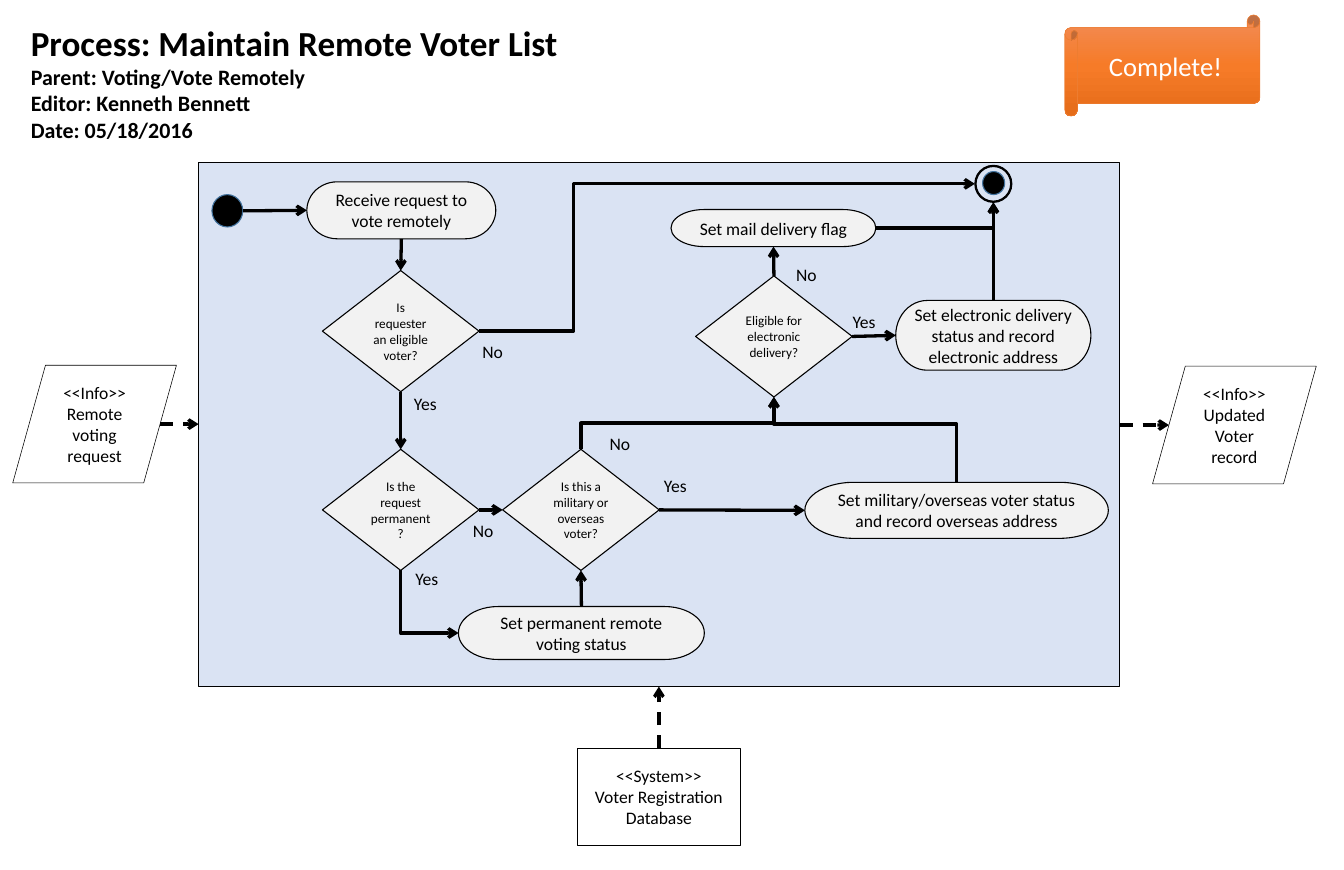
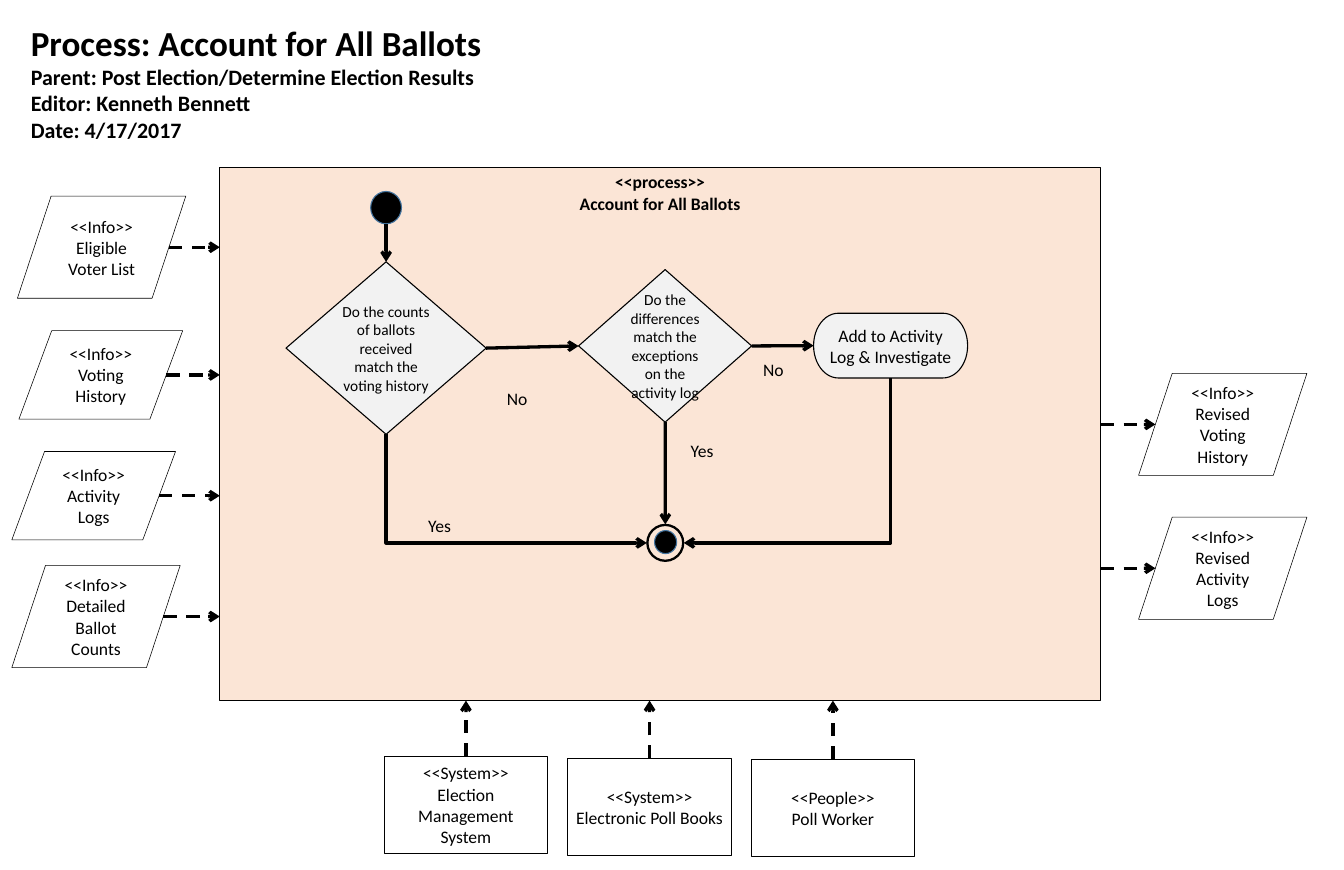
from dataclasses import dataclass

from lxml.etree import SubElement
from pptx import Presentation
from pptx.dml.color import RGBColor
from pptx.enum.dml import MSO_LINE
from pptx.enum.shapes import MSO_CONNECTOR, MSO_SHAPE
from pptx.enum.text import MSO_ANCHOR, MSO_AUTO_SIZE, PP_ALIGN
from pptx.oxml.ns import qn
from pptx.util import Cm, Pt


@dataclass(frozen=True)
class Theme:
    font: str = "Calibri"
    ink: str = "000000"
    paper: str = "FFFFFF"
    node: str = "F2F2F2"
    dot_edge: str = "43739E"
    badge_edge: str = "ED7D31"
    badge_stops: tuple = ((0, "F18C57"), (50000, "F67B28"), (100000, "E56C19"))
    title: float = 32
    subtitle: float = 20
    body: float = 16
    badge: float = 24.2
    thin: float = 0.5
    edge: float = 1
    arrow: float = 3


THEME = Theme()
TITLE_BOX = (0.74, 0.56, 39.88, 4.19)
BADGE_BOX = (34.21, 0.48, 6.27, 3.25)
DOT_SIZE = (0.99, 1.04)
RING_SIZE = (1.19, 1.19)
CORE_OFFSET = (0.25, 0.2)
CORE_SIZE = (0.71, 0.74)
LABEL_SIZE = (1.73, 0.94)
SUPPORT_SIZE = (5.26, 3.12)
SLANT = 0.1
LEVEL = 0.2

PROCESSES = [
    {
        "title": ["Process: Maintain Remote Voter List", "Parent: Voting/Vote Remotely",
                  "Editor: Kenneth Bennett", "Date: 05/18/2016"],
        "badge": "Complete!",
        "frame": (6.38, 5.21, 29.59, 16.84),
        "frame_fill": "DAE3F3",
        "frame_text": [],
        "start": (6.81, 6.25),
        "final": (31.32, 5.31),
        "decision_style": {"size": 12},
        "steps": {
            "receive": ("Receive request to vote remotely", (9.86, 5.84, 6.07, 1.83)),
            "permanent status": ("Set permanent remote voting status", (14.73, 19.48, 7.9, 1.7)),
            "overseas status": ("Set military/overseas voter status and record overseas address",
                                (25.86, 15.49, 9.75, 1.8)),
            "mail flag": ("Set mail delivery flag", (21.56, 6.73, 6.58, 1.19)),
            "electronic status": ("Set electronic delivery status and record electronic address",
                                  (28.78, 9.65, 6.27, 2.24)),
        },
        "decisions": {
            "eligible": ("Is requester an eligible voter?", (10.36, 8.69, 5.03, 3.89)),
            "permanent": ("Is the request permanent?", (10.36, 14.43, 5.03, 3.89)),
            "military": ("Is this a military or overseas voter?", (16.15, 14.43, 5.03, 3.89)),
            "electronic": ("Eligible for electronic delivery?", (22.35, 8.86, 5.03, 3.89)),
        },
        "arrows": [
            ("start", "right", "receive", "left"),
            ("receive", "bottom", "eligible", "top"),
            ("eligible", "bottom", "permanent", "top"),
            ("eligible", "right", "final", "left", 0.191),
            ("permanent", "right", "military", "left"),
            ("permanent", "bottom", "permanent status", "left"),
            ("permanent status", "top", "military", "bottom"),
            ("military", "right", "overseas status", "left"),
            ("military", "top", "electronic", "bottom"),
            ("overseas status", "top", "electronic", "bottom", 0.684),
            ("electronic", "right", "electronic status", "left"),
            ("electronic", "top", "mail flag", "bottom"),
            ("mail flag", "right", "final", "bottom"),
            ("electronic status", "top", "final", "bottom"),
        ],
        "labels": [("Yes", 26.9, 9.86), ("No", 25.04, 8.36), ("Yes", 20.83, 15.14),
                   ("Yes", 12.85, 18.11), ("No", 14.66, 16.56), ("No", 14.96, 10.82),
                   ("No", 19.05, 13.79), ("Yes", 12.8, 12.5)],
        "inputs": [("Remote voting request", (0.41, 11.73, 5.26, 3.78))],
        "outputs": [("Updated Voter record", (37.03, 11.76, 5.26, 3.78))],
        "supports": [("System", "Voter Registration Database", 18.54, 24.03)],
    },
    {
        "title": ["Process: Account for All Ballots",
                  "Parent: Post Election/Determine Election Results",
                  "Editor: Kenneth Bennett", "Date: 4/17/2017"],
        "badge": None,
        "frame": (7.06, 5.38, 28.3, 17.12),
        "frame_fill": "FBE5D6",
        "frame_text": ["<<process>>", "Account for All Ballots"],
        "start": (11.91, 6.15),
        "final": (20.78, 16.84),
        "decision_style": {"size": 14, "inset": 0.13},
        "steps": {
            "investigate": ("Add to Activity Log & Investigate", (26.14, 10.06, 4.95, 2.08)),
        },
        "decisions": {
            "counts": ("Do the counts of ballots received match the voting history",
                       (9.19, 8.41, 6.43, 5.54)),
            "differences": ("Do the differences match the exceptions on the activity log",
                            (18.59, 8.66, 5.56, 4.9)),
        },
        "arrows": [
            ("start", "bottom", "counts", "top"),
            ("counts", "right", "differences", "left"),
            ("counts", "bottom", "final", "left"),
            ("differences", "right", "investigate", "left"),
            ("differences", "bottom", "final", "top"),
            ("investigate", "bottom", "final", "right"),
        ],
        "labels": [("No", 15.75, 12.32), ("Yes", 13.26, 16.41),
                   ("No", 23.98, 11.4), ("Yes", 21.69, 14)],
        "inputs": [("Eligible Voter List", (0.56, 6.3, 5.41, 3.28)),
                   ("Voting History", (0.61, 10.62, 5.26, 2.84)),
                   ("Activity Logs", (0.38, 14.5, 5.26, 2.84)),
                   ("Detailed Ballot Counts", (0.38, 18.16, 5.41, 3.28))],
        "outputs": [("Revised Voting History", (36.58, 11.99, 5.41, 3.28)),
                    ("Revised Activity Logs", (36.58, 16.61, 5.41, 3.28))],
        "supports": [("System", "Election Management System", 12.34, 24.28),
                     ("System", "Electronic Poll Books", 18.24, 24.36),
                     ("People", "Poll Worker", 24.13, 24.38)],
    },
]

FOUR_SITES = {"top": 0, "left": 1, "bottom": 2, "right": 3}
EIGHT_SITES = {"top": 0, "left": 2, "bottom": 4, "right": 6}
SIDES = {"top": (0.5, 0), "left": (0, 0.5), "bottom": (0.5, 1), "right": (1, 0.5)}
UPRIGHT = ("top", "bottom")


def color(value):
    return RGBColor.from_string(value)


def cm(values):
    return [Cm(value) for value in values]


def point(box, side):
    left, top, width, height = box
    across, down = SIDES[side]
    return left + across * width, top + down * height


def write(shape, lines, size=THEME.body, ink=THEME.ink, bold=False,
          align=PP_ALIGN.CENTER, anchor=MSO_ANCHOR.MIDDLE, inset=None, first_size=None):
    frame = shape.text_frame
    frame.word_wrap = True
    frame.vertical_anchor = anchor
    if inset is not None:
        frame.margin_left = frame.margin_right = Cm(inset)
        frame.margin_top = frame.margin_bottom = Cm(inset)
    for index, line in enumerate(lines):
        para = frame.add_paragraph() if index else frame.paragraphs[0]
        para.alignment = align
        span = para.add_run()
        span.text = line
        span.font.name = THEME.font
        span.font.size = Pt(first_size if first_size and not index else size)
        span.font.bold = bold
        span.font.color.rgb = color(ink)


def add_shape(shapes, kind, box, fill=None, edge=THEME.ink, weight=THEME.edge):
    shape = shapes.add_shape(kind, *cm(box))
    shape.shadow.inherit = False
    if fill:
        shape.fill.solid()
        shape.fill.fore_color.rgb = color(fill)
    else:
        shape.fill.background()
    shape.line.color.rgb = color(edge)
    shape.line.width = Pt(weight)
    return shape


def add_text_box(page, box, lines, **style):
    shape = page.shapes.add_textbox(*cm(box))
    write(shape, lines, anchor=MSO_ANCHOR.TOP, **style)
    shape.text_frame.auto_size = MSO_AUTO_SIZE.SHAPE_TO_FIT_TEXT


def add_arrow(page, start, end, dashed=False, kind=MSO_CONNECTOR.STRAIGHT):
    arrow = page.shapes.add_connector(kind, *cm(start + end))
    arrow.line.color.rgb = color(THEME.ink)
    arrow.line.width = Pt(THEME.arrow)
    if dashed:
        arrow.line.dash_style = MSO_LINE.DASH
    properties = arrow.element.spPr
    SubElement(properties.find(qn("a:ln")), qn("a:tailEnd"), type="arrow")
    SubElement(properties, qn("a:effectLst"))
    return arrow


def add_elbow(page, start, end, upright, bends, share):
    if upright:
        middle_x, middle_y = (start[0] + end[0]) / 2, (start[1] + end[1]) / 2
        half_x, half_y = (end[0] - start[0]) / 2, (end[1] - start[1]) / 2
        start = (middle_x - half_y, middle_y + half_x)
        end = (middle_x + half_y, middle_y - half_x)
    arrow = add_arrow(page, start, end, kind=MSO_CONNECTOR.ELBOW)
    properties = arrow.element.spPr
    if upright:
        properties.find(qn("a:xfrm")).set("rot", "5400000")
    geometry = properties.find(qn("a:prstGeom"))
    if bends == 1:
        geometry.set("prst", "bentConnector2")
    else:
        values = geometry.find(qn("a:avLst"))
        SubElement(values, qn("a:gd"), name="adj1", fmla=f"val {round(share * 100000)}")
    return arrow


def link(page, nodes, source, source_side, target, target_side, share=0.5):
    (first, first_box, first_sites), (last, last_box, last_sites) = nodes[source], nodes[target]
    start, end = point(first_box, source_side), point(last_box, target_side)
    if min(abs(start[0] - end[0]), abs(start[1] - end[1])) < LEVEL:
        arrow = add_arrow(page, start, end)
    else:
        upright = source_side in UPRIGHT
        bends = 2 if upright == (target_side in UPRIGHT) else 1
        arrow = add_elbow(page, start, end, upright, bends, share)
    glue = arrow.element.find(".//" + qn("p:cNvCxnSpPr"))
    for tag, shape, site in (("a:stCxn", first, first_sites[source_side]),
                             ("a:endCxn", last, last_sites[target_side])):
        SubElement(glue, qn(tag), id=str(shape.shape_id), idx=str(site))


def add_badge(page, text):
    badge = add_shape(page.shapes, MSO_SHAPE.HORIZONTAL_SCROLL, BADGE_BOX,
                      edge=THEME.badge_edge, weight=THEME.thin)
    badge.fill.gradient()
    badge.fill.gradient_angle = 270
    stops = badge.element.spPr.find(".//" + qn("a:gsLst"))
    for stop in list(stops):
        stops.remove(stop)
    for position, value in THEME.badge_stops:
        stop = SubElement(stops, qn("a:gs"), pos=str(position))
        SubElement(stop, qn("a:srgbClr"), val=value)
    write(badge, [text], size=THEME.badge, ink=THEME.paper)


def add_dot(shapes, box):
    return add_shape(shapes, MSO_SHAPE.FLOWCHART_CONNECTOR, box, THEME.ink, THEME.dot_edge)


def add_final(page, corner):
    group = page.shapes.add_group_shape()
    ring = add_shape(group.shapes, MSO_SHAPE.DONUT, corner + RING_SIZE, THEME.ink)
    ring.adjustments[0] = 0.032
    core = (corner[0] + CORE_OFFSET[0], corner[1] + CORE_OFFSET[1])
    add_dot(group.shapes, core + CORE_SIZE)
    return ring


def add_nodes(page, process):
    start_box, final_box = process["start"] + DOT_SIZE, process["final"] + RING_SIZE
    nodes = {"start": (add_dot(page.shapes, start_box), start_box, EIGHT_SITES),
             "final": (add_final(page, process["final"]), final_box, EIGHT_SITES)}
    for group, kind, style in (("steps", MSO_SHAPE.FLOWCHART_TERMINATOR, {}),
                               ("decisions", MSO_SHAPE.FLOWCHART_DECISION,
                                process["decision_style"])):
        for name, (text, box) in process[group].items():
            shape = add_shape(page.shapes, kind, box, THEME.node)
            write(shape, [text], **style)
            nodes[name] = (shape, box, FOUR_SITES)
    return nodes


def add_outside(page, kind, box, role, text):
    shape = add_shape(page.shapes, kind, box, weight=THEME.thin)
    write(shape, [f"<<{role}>>", text])


def add_surroundings(page, process):
    left, top, width, height = process["frame"]
    for group, reach in (("inputs", 1 - SLANT), ("outputs", SLANT)):
        for text, box in process[group]:
            add_outside(page, MSO_SHAPE.FLOWCHART_DATA, box, "Info", text)
            middle = box[1] + box[3] / 2
            slope = (box[0] + reach * box[2], middle)
            if group == "inputs":
                add_arrow(page, slope, (left, middle), dashed=True)
            else:
                add_arrow(page, (left + width, middle), slope, dashed=True)
    for role, text, *corner in process["supports"]:
        box = tuple(corner) + SUPPORT_SIZE
        add_outside(page, MSO_SHAPE.FLOWCHART_PROCESS, box, role, text)
        start = point(box, "top")
        add_arrow(page, start, (start[0], top + height), dashed=True)


def build_page(deck, process):
    page = deck.slides.add_slide(deck.slide_layouts[6])
    add_text_box(page, TITLE_BOX, process["title"], size=THEME.subtitle,
                 first_size=THEME.title, bold=True, align=PP_ALIGN.LEFT)
    frame = add_shape(page.shapes, MSO_SHAPE.RECTANGLE, process["frame"], process["frame_fill"])
    write(frame, process["frame_text"], bold=True, anchor=MSO_ANCHOR.TOP)
    nodes = add_nodes(page, process)
    for arrow in process["arrows"]:
        link(page, nodes, *arrow)
    for text, *corner in process["labels"]:
        add_text_box(page, tuple(corner) + LABEL_SIZE, [text])
    add_surroundings(page, process)
    if process["badge"]:
        add_badge(page, process["badge"])


def main():
    deck = Presentation()
    deck.slide_width, deck.slide_height = Cm(43.18), Cm(27.94)
    for process in PROCESSES:
        build_page(deck, process)
    deck.save("out.pptx")


if __name__ == "__main__":
    main()
